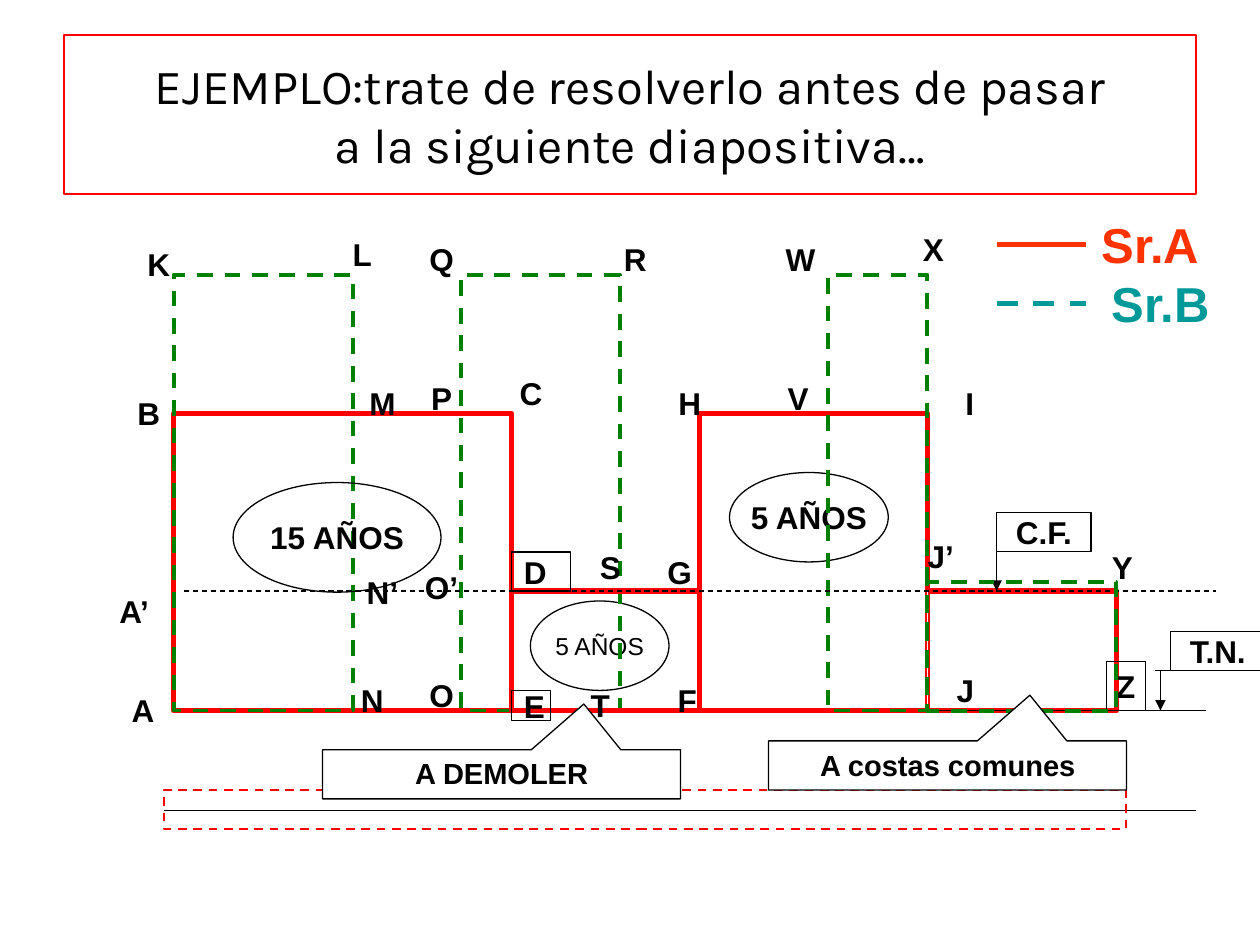
import pptx
import pptx.util
import pptx.dml.color
import pptx.enum.dml
import pptx.enum.shapes
import pptx.enum.text
import pptx.oxml
import pptx.oxml.ns

Inches = pptx.util.Inches
SHAPE = pptx.enum.shapes.MSO_SHAPE
ALIGN = {"l": pptx.enum.text.PP_ALIGN.LEFT,
         "c": pptx.enum.text.PP_ALIGN.CENTER,
         "r": pptx.enum.text.PP_ALIGN.RIGHT}
COLORS = {"black": "000000", "white": "FFFFFF", "wall_a": "FF0000",
          "wall_b": "008000", "key_a": "FF3300", "key_b": "009999"}

GROUND, COMMON = 5.64, 4.69      # ground level and top of the low walls
TOP_A, TOP_B = 3.28, 2.18        # tops of the tall walls of each owner
X_LEFT, X_MID, X_HIGH, X_YARD, X_END = 1.38, 4.06, 5.55, 7.36, 8.86

# text, left, top, width, height, alignment
LETTERS = [
    ("A", 0.9, 5.48, 0.47, 0.31, "c"), ("A’", 0.83, 4.69, 0.47, 0.31, "c"),
    ("B", 0.9, 3.12, 0.47, 0.31, "r"), ("C", 3.98, 2.96, 0.47, 0.31, "c"),
    ("F", 5.31, 5.4, 0.32, 0.31, "r"), ("G", 5.16, 4.38, 0.47, 0.31, "c"),
    ("H", 5.24, 3.04, 0.47, 0.31, "c"), ("I", 7.36, 3.04, 0.47, 0.31, "r"),
    ("J", 7.36, 5.32, 0.47, 0.31, "r"), ("K", 0.98, 1.94, 0.47, 0.31, "r"),
    ("L", 2.64, 1.86, 0.47, 0.31, "c"), ("M", 2.8, 3.04, 0.47, 0.31, "c"),
    ("N", 2.8, 5.4, 0.31, 0.31, "c"), ("N’", 2.8, 4.54, 0.47, 0.31, "c"),
    ("T", 4.61, 5.4, 0.31, 0.39, "c"), ("S", 4.69, 4.3, 0.31, 0.39, "c"),
    ("V", 6.18, 2.96, 0.31, 0.39, "c"), ("W", 6.26, 1.86, 0.31, 0.39, "r"),
    ("X", 7.28, 1.78, 0.31, 0.39, "r"), ("J’", 7.36, 4.22, 0.31, 0.39, "r"),
    ("Y", 8.78, 4.3, 0.31, 0.39, "r"), ("O", 3.35, 5.32, 0.31, 0.39, "c"),
    ("O’", 3.35, 4.46, 0.31, 0.39, "c"), ("P", 3.35, 2.96, 0.31, 0.39, "c"),
    ("Q", 3.35, 1.86, 0.31, 0.39, "c"), ("R", 4.92, 1.86, 0.31, 0.39, "r"),
]
BOXED = [
    ("D", 4.06, 4.38, 0.47, 0.31, "l"), ("E", 4.06, 5.48, 0.31, 0.24, "l"),
    ("Z", 8.78, 5.25, 0.31, 0.39, "c"),
    ("T.N.", 9.29, 5.01, 0.75, 0.31, "c"), ("C.F.", 7.91, 4.07, 0.75, 0.31, "c"),
]


def rgb(name):
    return pptx.dml.color.RGBColor.from_string(COLORS[name])


def set_line(line, color, width, dashed=False):
    line.color.rgb = rgb(color)
    line.width = pptx.util.Pt(width)
    if dashed:
        line.dash_style = pptx.enum.dml.MSO_LINE.DASH


def set_text(sp, lines, align="c", size=18, bold=True, font="Arial",
             color="black", wrap=False, anchor="MIDDLE"):
    tf = sp.text_frame
    frame = {"word_wrap": wrap,
             "auto_size": pptx.enum.text.MSO_AUTO_SIZE.NONE,
             "vertical_anchor": pptx.enum.text.MSO_ANCHOR[anchor],
             "margin_left": Inches(0.1), "margin_right": Inches(0.1),
             "margin_top": Inches(0.05), "margin_bottom": Inches(0.05)}
    for name, value in frame.items():
        setattr(tf, name, value)
    for i, text in enumerate(lines):
        p = tf.paragraphs[0] if i == 0 else tf.add_paragraph()
        p.alignment = ALIGN[align]
        r = p.add_run()
        r.text = text
        style = {"name": font, "size": pptx.util.Pt(size), "bold": bold}
        for name, value in style.items():
            setattr(r.font, name, value)
        r.font.color.rgb = rgb(color)


def add_outline(s, left, top, width, height, color="black", weight=0.75,
                dashed=False, shape=SHAPE.RECTANGLE):
    sp = s.shapes.add_shape(shape, Inches(left), Inches(top),
                            Inches(width), Inches(height))
    sp.shadow.inherit = False
    sp.fill.background()
    set_line(sp.line, color, weight, dashed)
    return sp


def add_wall(s, owner, left, top, right):
    """Outline a wall that stands on the ground."""
    color, weight, dashed = {"A": ("wall_a", 3, False),
                             "B": ("wall_b", 2.25, True)}[owner]
    add_outline(s, left, top, right - left, GROUND - top, color, weight, dashed)


def add_line(s, x1, y1, x2, y2, color="black", weight=0.75, dashed=False,
             arrow=False):
    c = s.shapes.add_connector(pptx.enum.shapes.MSO_CONNECTOR.STRAIGHT,
                               Inches(x1), Inches(y1), Inches(x2), Inches(y2))
    set_line(c.line, color, weight, dashed)
    ns = pptx.oxml.ns.nsdecls("a")
    if arrow:
        c.line._get_or_add_ln().append(
            pptx.oxml.parse_xml(f'<a:tailEnd {ns} type="triangle"/>'))
    c._element.spPr.append(pptx.oxml.parse_xml(f"<a:effectLst {ns}/>"))


def add_label(s, text, left, top, width, height, align="c", **style):
    sp = s.shapes.add_textbox(Inches(left), Inches(top),
                              Inches(width), Inches(height))
    set_text(sp, [text], align, **style)


def add_age(s, text, left, top, width, height, **style):
    sp = add_outline(s, left, top, width, height, shape=SHAPE.OVAL)
    set_text(sp, [text], **style)


def add_callout(s, text, left, top):
    """Add a callout turned upside down, with its text kept upright."""
    sp = add_outline(s, left, top, 2.84, 0.39, shape=SHAPE.RECTANGULAR_CALLOUT)
    sp.fill.solid()
    sp.fill.fore_color.rgb = rgb("white")
    sp.rotation = 180
    sp.adjustments[0], sp.adjustments[1] = -0.23, 1.43
    set_text(sp, [text], size=16.6, wrap=True, anchor="TOP")
    sp.text_frame._txBody.bodyPr.set("rot", str(180 * 60000))


def add_title(s):
    sp = s.shapes.title
    place = {"left": 0.51, "top": 0.28, "width": 8.98, "height": 1.26}
    for name, value in place.items():
        setattr(sp, name, Inches(value))
    set_line(sp.line, "wall_a", 1.25)
    set_text(sp, ["EJEMPLO:trate de resolverlo antes de pasar",
                  "a la siguiente diapositiva…"],
             size=28, bold=False, font="Karla")


def add_key(s, owner, color, y, left, dashed):
    add_line(s, 7.91, y, 8.62, y, color, 3, dashed)
    add_label(s, owner, left, y - 0.24, 1.02, 0.47, size=28, color=color)


def main():
    prs = pptx.Presentation()
    prs.slide_width, prs.slide_height = Inches(10), Inches(7.5)
    s = prs.slides.add_slide(prs.slide_layouts[5])
    add_title(s)

    add_age(s, "5 AÑOS", 4.21, 4.77, 1.1, 0.71, size=14, bold=False)
    add_wall(s, "A", X_YARD, COMMON, X_END)
    add_line(s, X_LEFT, GROUND, 9.57, GROUND)
    add_wall(s, "A", X_LEFT, TOP_A, X_MID)
    add_wall(s, "A", X_HIGH, TOP_A, X_YARD)
    add_line(s, X_YARD, COMMON, X_YARD, GROUND, "white")
    add_wall(s, "B", X_LEFT, TOP_B, 2.8)
    add_wall(s, "B", 3.66, TOP_B, 4.92)
    add_wall(s, "A", X_MID, COMMON, X_HIGH)
    add_age(s, "15 AÑOS", 1.85, 3.83, 1.65, 0.87)
    add_age(s, "5 AÑOS", 5.79, 3.75, 1.26, 0.71)
    add_wall(s, "B", 6.57, TOP_B, X_YARD)

    add_line(s, 9.21, 5.32, 9.21, GROUND, arrow=True)
    add_line(s, 9.17, 5.32, 10, 5.32)
    add_line(s, 7.91, 4.38, 7.91, COMMON, arrow=True)
    add_line(s, 1.3, 6.43, 9.49, 6.43)
    add_outline(s, 1.3, 6.27, 7.64, 0.31, "wall_a", 1.25, True)
    add_line(s, 1.46, COMMON, 9.65, COMMON, dashed=True)

    for letter in LETTERS:
        add_label(s, *letter)
    for text, left, top, width, height, align in BOXED:
        set_text(add_outline(s, left, top, width, height), [text], align)

    add_callout(s, "A DEMOLER", 2.56, 5.95)
    add_wall(s, "B", X_YARD, 4.62, X_END)
    add_callout(s, "A costas comunes", 6.1, 5.88)
    add_key(s, "Sr.A", "key_a", 1.94, 8.62, False)
    add_key(s, "Sr.B", "key_b", 2.41, 8.7, True)
    prs.save("out.pptx")


if __name__ == "__main__":
    main()
